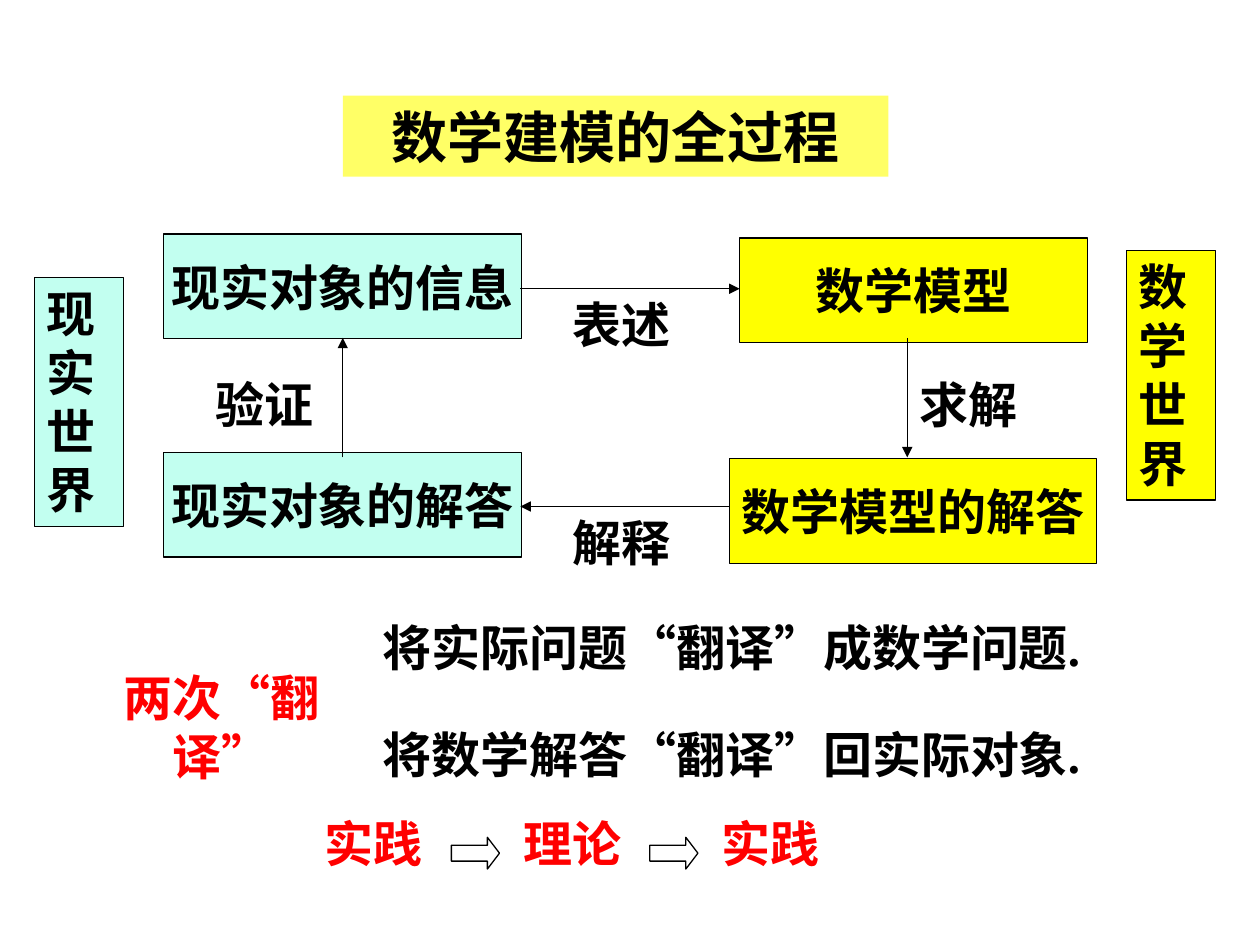
from dataclasses import dataclass

import pptx
import pptx.dml.color
import pptx.enum.shapes
import pptx.enum.text
import pptx.oxml
import pptx.oxml.ns
import pptx.util
from pptx.util import Cm

CJK_FONT = "Noto Sans CJK SC"
LATIN_FONT = "Times New Roman"
BLACK, RED, MINT, YELLOW, PALE_YELLOW = "000000", "FF0000", "C2FFF0", "FFFF00", "FFFF66"
ALIGN = pptx.enum.text.PP_ALIGN
ANCHOR = pptx.enum.text.MSO_ANCHOR
SHAPES = pptx.enum.shapes.MSO_SHAPE
LINE_WIDTH = pptx.util.Pt(0.75)


@dataclass
class Label:
    text: str
    left: float
    top: float
    width: float
    height: float = 1.45
    color: str = BLACK
    font: str = CJK_FONT
    align: ALIGN = ALIGN.LEFT
    size: int = 28


@dataclass
class Box(Label):
    fill: str = MINT
    anchor: ANCHOR = ANCHOR.MIDDLE
    wrap: bool = False


@dataclass
class Arrow:
    start: tuple[float, float]
    end: tuple[float, float]


def rgb(value: str) -> pptx.dml.color.RGBColor:
    return pptx.dml.color.RGBColor.from_string(value)


def apply_format(target, values: dict) -> None:
    for name, value in values.items():
        setattr(target, name, value)


def write_text(shape, label: Label, anchor=ANCHOR.TOP, wrap: bool = True) -> None:
    apply_format(shape.text_frame, {
        "auto_size": pptx.enum.text.MSO_AUTO_SIZE.NONE,
        "vertical_anchor": anchor,
        "word_wrap": wrap,
    })
    paragraph = shape.text_frame.paragraphs[0]
    apply_format(paragraph, {"alignment": label.align, "space_before": pptx.util.Pt(0)})
    run = paragraph.add_run()
    run.text = label.text
    apply_format(run.font, {"name": label.font, "size": pptx.util.Pt(label.size), "bold": True})
    run.font.color.rgb = rgb(label.color)
    east_asian = pptx.oxml.parse_xml(
        f'<a:ea {pptx.oxml.ns.nsdecls("a")} typeface="{CJK_FONT}"/>')
    run.font._element.find(pptx.oxml.ns.qn("a:latin")).addnext(east_asian)


def set_outline(shape) -> None:
    shape.line.color.rgb = rgb(BLACK)
    shape.line.width = LINE_WIDTH


def draw_title(slide, label: Label, fill: str) -> None:
    title = slide.shapes.title
    apply_format(title, {name: Cm(getattr(label, name))
                         for name in ("left", "top", "width", "height")})
    title.fill.solid()
    title.fill.fore_color.rgb = rgb(fill)
    write_text(title, label)


def draw_label(slide, label: Label) -> None:
    shape = slide.shapes.add_textbox(
        Cm(label.left), Cm(label.top), Cm(label.width), Cm(label.height))
    write_text(shape, label)


def draw_box(slide, box: Box) -> None:
    shape = slide.shapes.add_shape(
        SHAPES.RECTANGLE, Cm(box.left), Cm(box.top), Cm(box.width), Cm(box.height))
    shape.shadow.inherit = False
    shape.fill.solid()
    shape.fill.fore_color.rgb = rgb(box.fill)
    set_outline(shape)
    write_text(shape, box, box.anchor, box.wrap)


def draw_arrow(slide, arrow: Arrow) -> None:
    connector = slide.shapes.add_connector(
        pptx.enum.shapes.MSO_CONNECTOR.STRAIGHT,
        *(Cm(value) for value in arrow.start + arrow.end))
    set_outline(connector)
    namespace = pptx.oxml.ns.nsdecls("a")
    connector.line._get_or_add_ln().append(
        pptx.oxml.parse_xml(f'<a:tailEnd {namespace} type="triangle"/>'))
    connector._element.spPr.append(pptx.oxml.parse_xml(f"<a:effectLst {namespace}/>"))


def draw_block_arrow(slide, left: float, top: float) -> None:
    shape = slide.shapes.add_shape(
        SHAPES.RIGHT_ARROW, Cm(left), Cm(top), Cm(0.97), Cm(0.64))
    shape.shadow.inherit = False
    shape.adjustments[1] = 0.38
    shape.fill.background()
    set_outline(shape)


def stage(text: str, left: float, top: float, width: float, fill: str) -> Box:
    return Box(text, left, top, width, 2.11, align=ALIGN.CENTER, fill=fill)


def world(text: str, left: float, top: float, fill: str) -> Box:
    return Box(text, left, top, 1.8, 5.03, fill=fill, anchor=ANCHOR.TOP, wrap=True)


TITLE = Label("数学建模的全过程", 6.91, 1.93, 11, 1.63, align=ALIGN.CENTER, size=32)
BOXES = [
    stage("现实对象的信息", 3.3, 4.72, 7.21, MINT),
    stage("数学模型", 14.91, 4.8, 7.01, YELLOW),
    stage("现实对象的解答", 3.3, 9.12, 7.21, MINT),
    stage("数学模型的解答", 14.71, 9.25, 7.39, YELLOW),
    world("现实世界", 0.69, 5.59, MINT),
    world("数学世界", 22.71, 5.05, YELLOW),
]
ARROWS = [
    Arrow((10.49, 5.82), (14.91, 5.82)),
    Arrow((18.29, 6.81), (18.29, 9.22)),
    Arrow((14.71, 10.21), (10.49, 10.21)),
    Arrow((6.91, 9.22), (6.91, 6.81)),
]
LABELS = [
    Label("表述", 11.3, 5.82, 2.79),
    Label("求解", 18.29, 7.42, 3),
    Label("解释", 11.3, 10.21, 3),
    Label("验证", 4.09, 7.42, 2.74),
    Label("两次“翻译”", 1.6, 13.34, 5.74, color=RED, font=LATIN_FONT, align=ALIGN.CENTER),
    Label("将实际问题“翻译”成数学问题.", 7.47, 12.32, 15.21, font=LATIN_FONT),
    Label("将数学解答“翻译”回实际对象.", 7.47, 14.48, 14.68, font=LATIN_FONT),
]
CYCLE = ["实践", "理论", "实践"]
CYCLE_LEFT, CYCLE_TOP, CYCLE_STEP = 6.3, 16.28, 4


def main() -> None:
    presentation = pptx.Presentation()
    apply_format(presentation, {"slide_width": Cm(25.4), "slide_height": Cm(19.05)})
    slide = presentation.slides.add_slide(presentation.slide_layouts[5])
    draw_title(slide, TITLE, PALE_YELLOW)
    for box in BOXES:
        draw_box(slide, box)
    for arrow in ARROWS:
        draw_arrow(slide, arrow)
    for label in LABELS:
        draw_label(slide, label)
    for index, text in enumerate(CYCLE):
        left = CYCLE_LEFT + index * CYCLE_STEP
        draw_label(slide, Label(text, left, CYCLE_TOP, 2.9, color=RED))
        if index:
            draw_block_arrow(slide, left - 1.2, CYCLE_TOP + 0.6)
    presentation.save("out.pptx")


if __name__ == "__main__":
    main()
